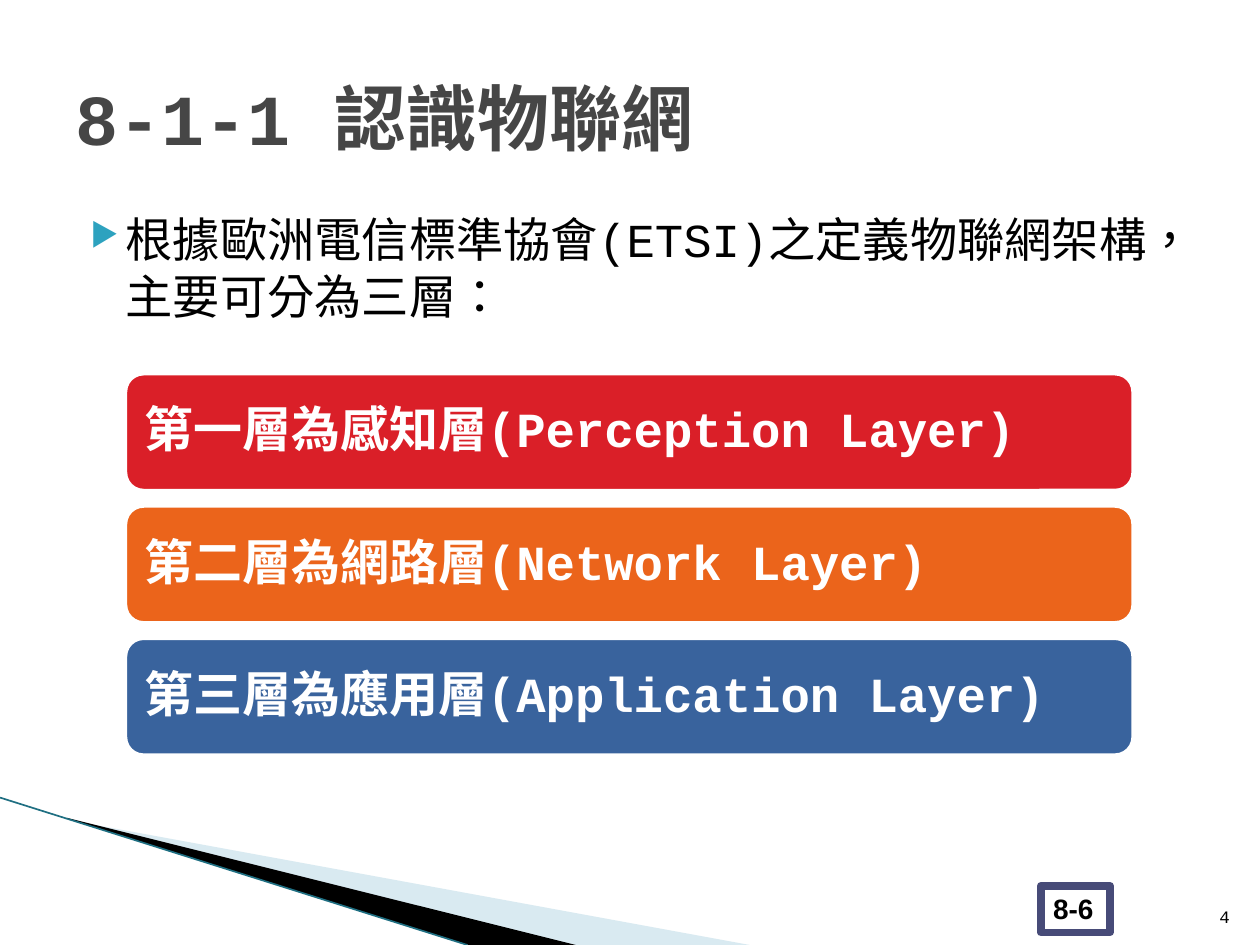
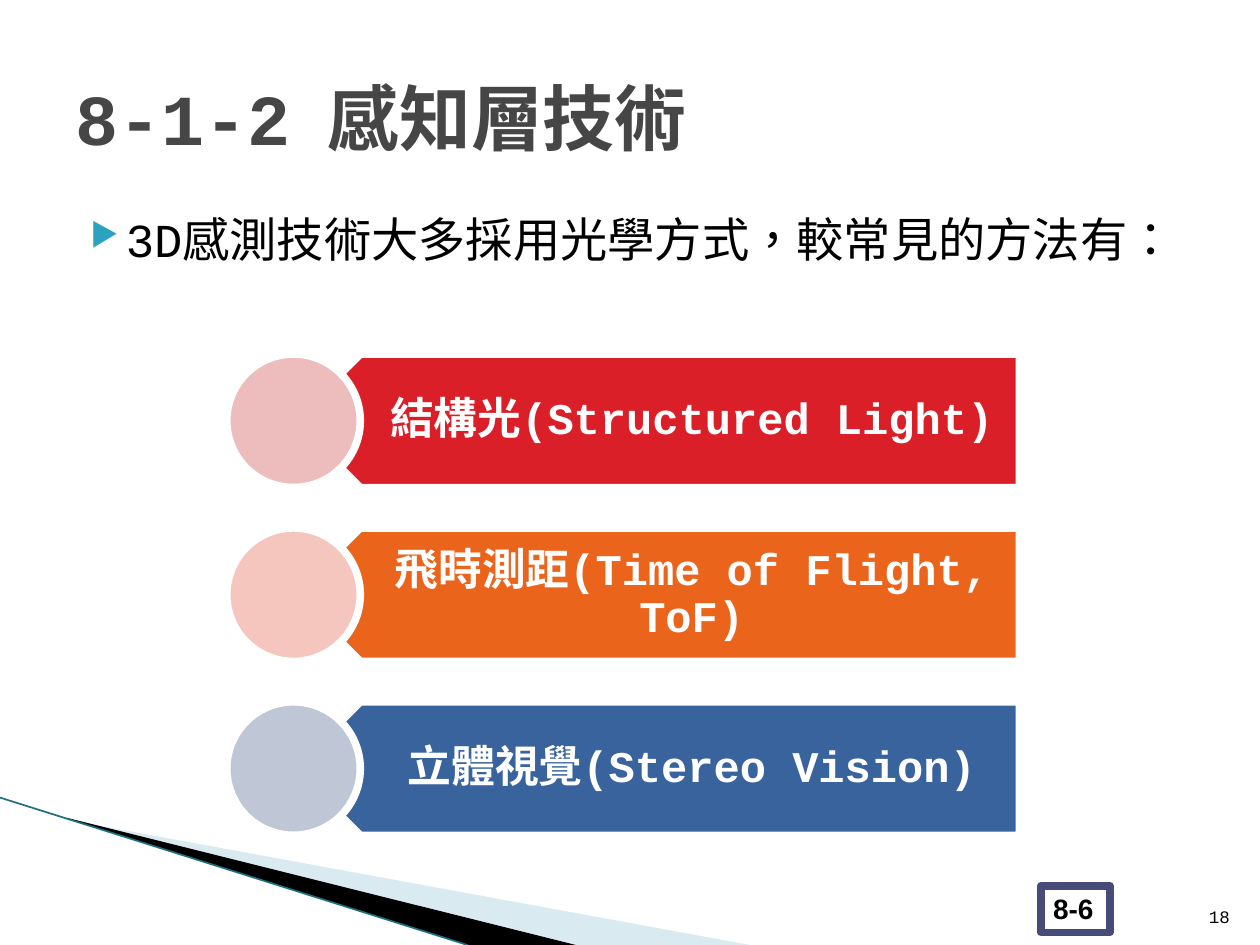
from lxml.etree import SubElement
from pptx import Presentation
from pptx.dml.color import RGBColor
from pptx.enum.shapes import MSO_CONNECTOR, MSO_SHAPE
from pptx.enum.text import MSO_ANCHOR, MSO_AUTO_SIZE, PP_ALIGN
from pptx.oxml.ns import qn
from pptx.util import Pt

PX = 9144
MONO = "Courier New"
SANS = "Arial"
BLACK = "000000"
WHITE = "FFFFFF"
GRAY = "464646"
TEAL = "2DA2BF"
EDGE = "1F6F82"
PALE = "A0CBDC"
NAVY = "474B78"
BANDS = ["DA1F28", "EB641B", "39639D"]
TINTS = ["EDBDBE", "F5C6BD", "BFC6D5"]
STROKE = 4.33


def color(code):
    return RGBColor.from_string(code)


def place(box):
    return [n * PX for n in box]


def mark(para):
    props = para._p.get_or_add_pPr()
    props.set("marL", str(40 * PX))
    props.set("indent", str(-28 * PX))
    props.set("hangingPunct", "1")
    tint = SubElement(props, qn("a:buClr"))
    SubElement(tint, qn("a:srgbClr")).set("val", TEAL)
    SubElement(props, qn("a:buSzPct")).set("val", "68000")
    SubElement(props, qn("a:buChar")).set("char", "▶")


def write(frame, text, size=27, font=MONO, ink=BLACK, bold=False,
          align=PP_ALIGN.LEFT, anchor=MSO_ANCHOR.TOP, pad=(10, 5, 10, 5),
          space=1.0, bullet=False):
    frame.word_wrap = True
    frame.auto_size = MSO_AUTO_SIZE.NONE
    frame.vertical_anchor = anchor
    (frame.margin_left, frame.margin_top,
     frame.margin_right, frame.margin_bottom) = place(pad)
    para = frame.paragraphs[0]
    para.alignment = align
    para.line_spacing = space
    if bullet:
        mark(para)
    run = para.add_run()
    run.text = text
    run._r.get_or_add_rPr().set("lang", "zh-TW")
    run.font.name = font
    run.font.size = Pt(size)
    run.font.bold = bold
    run.font.color.rgb = color(ink)


class Deck:
    def __init__(self):
        self.file = Presentation()
        self.file.slide_width, self.file.slide_height = place((1000, 750))
        self.slide = None

    def paint(self, shape, fill, line=None):
        shape.shadow.inherit = False
        shape.fill.solid()
        shape.fill.fore_color.rgb = color(fill)
        if line:
            shape.line.color.rgb = color(line)
            shape.line.width = Pt(STROKE)
        else:
            shape.line.fill.background()
        return shape

    def shape(self, kind, box, fill, line=WHITE):
        item = self.slide.shapes.add_shape(kind, *place(box))
        return self.paint(item, fill, line)

    def text(self, box, text, **form):
        item = self.slide.shapes.add_textbox(*place(box))
        write(item.text_frame, text, **form)

    def wedge(self, points, fill, alpha=None):
        pen = self.slide.shapes.build_freeform(*points[0], scale=PX)
        pen.add_line_segments(points[1:], close=True)
        item = self.paint(pen.convert_to_shape(), fill)
        if alpha:
            tone = item._element.spPr.find(qn("a:solidFill"))[0]
            SubElement(tone, qn("a:alpha")).set("val", str(alpha * 1000))

    def line(self, ends, ink, width):
        item = self.slide.shapes.add_connector(
            MSO_CONNECTOR.STRAIGHT, *place(ends))
        item.line.color.rgb = color(ink)
        item.line.width = Pt(width)
        SubElement(item._element.spPr, qn("a:effectLst"))

    def title(self, text):
        item = self.slide.shapes.title
        item.left, item.top, item.width, item.height = place((50, 30, 900, 125))
        write(item.text_frame, text, size=41, ink=GRAY, bold=True,
              anchor=MSO_ANCHOR.MIDDLE)

    def page(self, title, lead, number):
        self.slide = self.file.slides.add_slide(self.file.slide_layouts[5])
        self.wedge([(55, 651), (595, 750), (456, 750), (55, 650)], PALE, 40)
        self.wedge([(53, 649), (457, 750), (372, 750), (54, 650)], BLACK)
        self.line((0, 633, 371, 750), EDGE, 0.95)
        badge = self.shape(MSO_SHAPE.RECTANGLE, (826, 703, 55, 37), WHITE, NAVY)
        write(badge.text_frame, "8-6", size=16, font=SANS, bold=True)
        self.text((50, 162, 900, 495), lead, bullet=True)
        self.text((946, 701, 40, 40), number, size=10,
                  align=PP_ALIGN.RIGHT, anchor=MSO_ANCHOR.BOTTOM)
        self.title(title)

    def layer(self, top, text, fill):
        bar = self.shape(MSO_SHAPE.ROUNDED_RECTANGLE, (98, top, 803, 96), fill)
        write(bar.text_frame, text, size=28, ink=WHITE, bold=True,
              anchor=MSO_ANCHOR.MIDDLE, pad=(12, 12, 12, 12), space=0.9)

    def method(self, top, text, fill, tint):
        arrow = self.shape(MSO_SHAPE.PENTAGON, (233, top, 576, 106), fill)
        arrow.rotation = 180
        self.text((260, top, 550, 106), text, size=25, ink=WHITE, bold=True,
                  align=PP_ALIGN.CENTER, anchor=MSO_ANCHOR.MIDDLE,
                  pad=(47, 10, 19, 10), space=0.9)
        self.shape(MSO_SHAPE.OVAL, (180, top, 106, 106), tint)


def main():
    deck = Deck()
    deck.page("8-1-1 認識物聯網",
              "根據歐洲電信標準協會(ETSI)之定義物聯網架構，主要可分為三層：", "4")
    layers = ["第一層為感知層(Perception Layer)",
              "第二層為網路層(Network Layer)",
              "第三層為應用層(Application Layer)"]
    for i, (text, fill) in enumerate(zip(layers, BANDS)):
        deck.layer(295 + 105 * i, text, fill)

    deck.page("8-1-2\t感知層技術",
              "3D感測技術大多採用光學方式，較常見的方法有：", "18")
    methods = ["結構光(Structured Light)",
               "飛時測距(Time of Flight, ToF)",
               "立體視覺(Stereo Vision)"]
    for i, (text, fill, tint) in enumerate(zip(methods, BANDS, TINTS)):
        deck.method(281 + 138 * i, text, fill, tint)
    deck.file.save("out.pptx")


if __name__ == "__main__":
    main()
